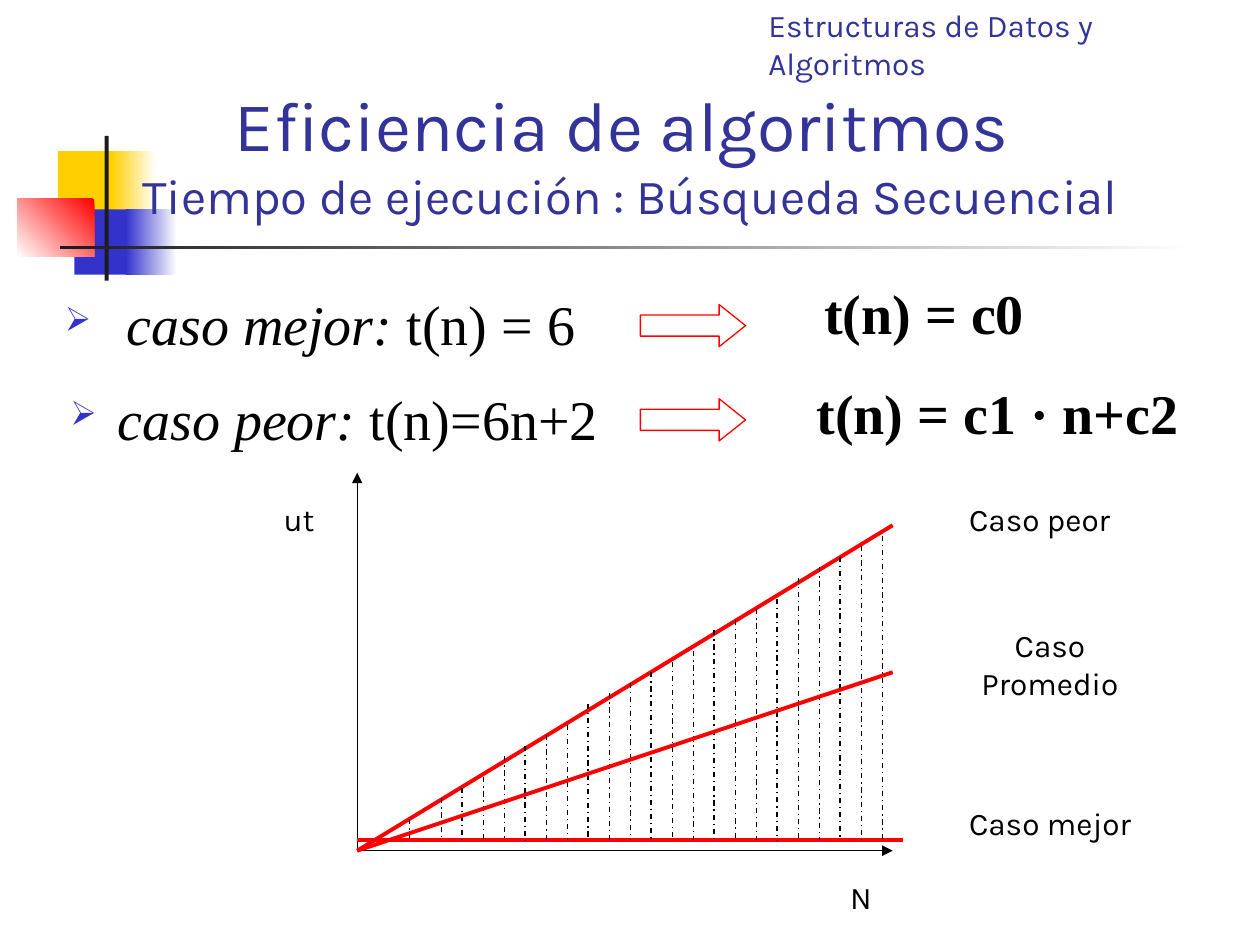
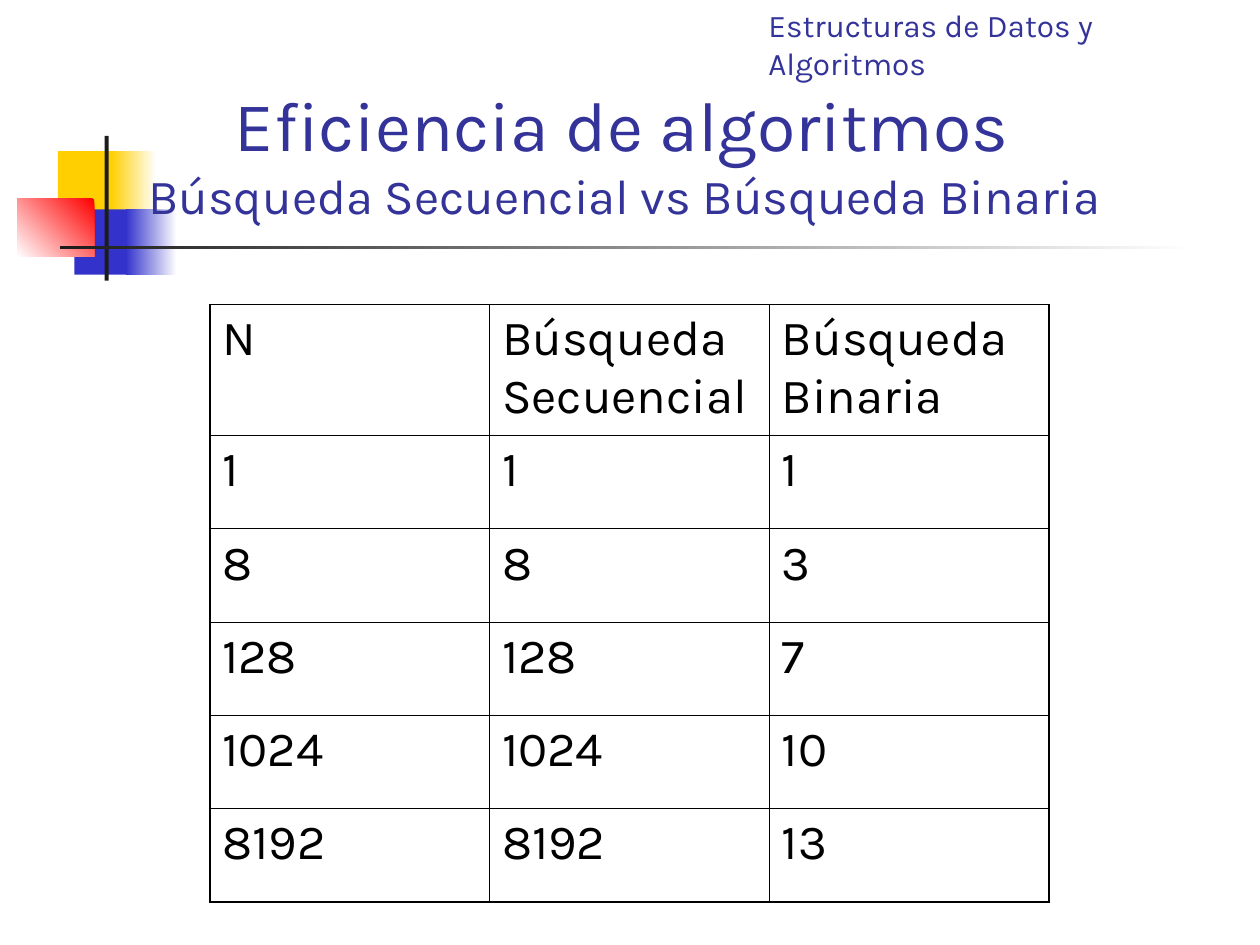
from dataclasses import dataclass

from lxml import etree
from pptx import Presentation
from pptx.dml.color import RGBColor
from pptx.enum.dml import MSO_LINE
from pptx.enum.shapes import MSO_CONNECTOR, MSO_SHAPE
from pptx.enum.text import MSO_ANCHOR, PP_ALIGN
from pptx.oxml.ns import qn
from pptx.util import Cm, Pt

RECTANGLE = MSO_SHAPE.RECTANGLE
RIGHT_ARROW = MSO_SHAPE.RIGHT_ARROW
STRAIGHT = MSO_CONNECTOR.STRAIGHT
DASH_DOT = MSO_LINE.DASH_DOT
LEFT, CENTER = PP_ALIGN.LEFT, PP_ALIGN.CENTER
TOP, BOTTOM = MSO_ANCHOR.TOP, MSO_ANCHOR.BOTTOM


@dataclass(frozen=True)
class Theme:
    sans: str = "Karla"
    serif: str = "Times New Roman"
    title: str = "333399"
    text: str = "000000"
    white: str = "FFFFFF"
    yellow: str = "FFCF01"
    blue: str = "3333CC"
    red: str = "FF0000"
    bar: str = "1C1C1C"
    title_size: float = 40
    subtitle_size: float = 28
    formula_size: float = 32
    table_size: float = 28
    label_size: float = 18
    thin: float = 0.75
    thick: float = 2.25
    outer_border: float = 1.08
    inner_border: float = 0.45


THEME = Theme()

# Chart grid: one step is a twelfth of an inch
STEP = 2.54 / 12
ORIGIN_X, ORIGIN_Y = 7.2, 17.15
HATCH_COLUMNS = [5, *range(8, 51, 2)]
HATCH_HEIGHTS = [2, 4, 5, 6, 8, 9, 10, 11, 13, 14, 15, 16,
                 17, 18, 20, 21, 22, 23, 25, 26, 27, 28, 29]

SEARCH_STEPS = [
    ("N", "Búsqueda Secuencial", "Búsqueda Binaria"),
    ("1", "1", "1"),
    ("8", "8", "3"),
    ("128", "128", "7"),
    ("1024", "1024", "10"),
    ("8192", "8192", "13"),
]


def rgb(color):
    return RGBColor.from_string(color)


def format_run(run, size, font=THEME.sans, color=THEME.text, bold=False, italic=False):
    run.font.size = Pt(size)
    run.font.name = font
    run.font.color.rgb = rgb(color)
    run.font.bold = bold
    run.font.italic = italic


def add_text(slide, box, text, size, font=THEME.sans, color=THEME.text,
             bold=False, align=CENTER, anchor=TOP):
    """Add a wrapping text box and return its paragraph."""
    frame = slide.shapes.add_textbox(*map(Cm, box)).text_frame
    frame.word_wrap = True
    frame.vertical_anchor = anchor
    paragraph = frame.paragraphs[0]
    paragraph.text = text
    paragraph.alignment = align
    for run in paragraph.runs:
        format_run(run, size, font, color, bold)
    return paragraph


def add_block(slide, box, color, fade_to=None, angle=180):
    """Add a rectangle in one colour, or fading from color to fade_to."""
    block = slide.shapes.add_shape(RECTANGLE, *map(Cm, box))
    block.shadow.inherit = False
    block.line.fill.background()
    if fade_to is None:
        block.fill.solid()
        block.fill.fore_color.rgb = rgb(color)
        return
    block.fill.gradient()
    block.fill.gradient_angle = angle
    for stop, stop_color in zip(block.fill.gradient_stops, (color, fade_to)):
        stop.color.rgb = rgb(stop_color)


def add_plot_line(slide, start, end, color, width, dash=None, arrow=False):
    """Join two (column, height) points of the chart grid."""
    ends = [Cm(length) for column, height in (start, end)
            for length in (ORIGIN_X + column * STEP, ORIGIN_Y - height * STEP)]
    connector = slide.shapes.add_connector(STRAIGHT, *ends)
    connector.line.color.rgb = rgb(color)
    connector.line.width = Pt(width)
    if dash is not None:
        connector.line.dash_style = dash
    properties = connector._element.spPr
    if arrow:
        etree.SubElement(properties.find(qn("a:ln")), qn("a:tailEnd"), type="triangle")
    etree.SubElement(properties, qn("a:effectLst"))


def add_case(slide, box, indent, name, formula):
    """Add a bulleted case: name in italics, then its formula."""
    paragraph = add_text(slide, box, name, THEME.formula_size, THEME.serif, align=LEFT)
    paragraph.runs[0].font.italic = True
    run = paragraph.add_run()
    run.text = formula
    format_run(run, THEME.formula_size, THEME.serif)
    properties = paragraph._p.get_or_add_pPr()
    properties.set("marL", str(Cm(indent)))
    properties.set("indent", str(-Cm(indent)))
    bullet_color = etree.SubElement(properties, qn("a:buClr"))
    etree.SubElement(bullet_color, qn("a:srgbClr"), val=THEME.blue)
    etree.SubElement(properties, qn("a:buSzPct"), val="60000")
    etree.SubElement(properties, qn("a:buChar"), char="➢")


def add_arrow(slide, top):
    arrow = slide.shapes.add_shape(RIGHT_ARROW, Cm(12.91), Cm(top), Cm(2.12), Cm(0.85))
    arrow.adjustments[1] = 0.625
    arrow.shadow.inherit = False
    arrow.fill.background()
    arrow.line.color.rgb = rgb(THEME.red)
    arrow.line.width = Pt(THEME.thin)


def set_borders(cell, widths):
    """Draw the left, right, top and bottom borders, in that order."""
    properties = cell._tc.get_or_add_tcPr()
    for side, width in zip("LRTB", widths):
        border = etree.SubElement(properties, qn(f"a:ln{side}"), w=str(Pt(width)))
        fill = etree.SubElement(border, qn("a:solidFill"))
        etree.SubElement(fill, qn("a:srgbClr"), val=THEME.text)


def add_grid_table(slide, left, top, column_width, row_heights, rows):
    column_count = len(rows[0])
    table = slide.shapes.add_table(
        len(rows), column_count, Cm(left), Cm(top),
        Cm(column_width * column_count), Cm(sum(row_heights))).table
    table.first_row = table.horz_banding = False
    for column in table.columns:
        column.width = Cm(column_width)
    for r, (values, height) in enumerate(zip(rows, row_heights)):
        table.rows[r].height = Cm(height)
        for c, value in enumerate(values):
            cell = table.cell(r, c)
            on_edge = (c == 0, c == column_count - 1, r == 0, r == len(rows) - 1)
            set_borders(cell, [THEME.outer_border if edge else THEME.inner_border
                               for edge in on_edge])
            cell.fill.background()
            cell.text_frame.text = value
            format_run(cell.text_frame.paragraphs[0].runs[0], THEME.table_size)


def add_decoration(slide):
    add_block(slide, (1.17, 3.05, 1.22, 1.32), THEME.yellow)
    add_block(slide, (2.24, 3.05, 0.91, 1.32), THEME.white, THEME.yellow)
    add_block(slide, (1.5, 4.22, 1.17, 1.32), THEME.blue)
    add_block(slide, (2.54, 4.22, 1.02, 1.32), THEME.white, THEME.blue)
    add_block(slide, (0.35, 4.01, 1.55, 1.17), THEME.red, THEME.white, angle=225)
    add_block(slide, (2.11, 2.74, 0.08, 2.92), THEME.bar)
    add_block(slide, (1.22, 4.95, 22.86, 0.08), THEME.white, THEME.bar)


def add_frame(presentation, subtitle):
    """Start a slide with the shared decoration, title and course name."""
    slide = presentation.slides.add_slide(presentation.slide_layouts[6])
    add_decoration(slide)
    title = add_text(slide, (0, 2.75, 25.4, 1.9),
                     "Eficiencia de algoritmos \v" + subtitle,
                     THEME.title_size, color=THEME.title, anchor=BOTTOM)
    title.runs[1].font.size = Pt(THEME.subtitle_size)
    add_text(slide, (15.24, 0, 10.16, 1.78), "Estructuras de Datos y Algoritmos",
             THEME.label_size, color=THEME.title, align=LEFT)
    return slide


def add_growth_plot(slide):
    # Axes
    for axis_end in ((0, 36), (51, 0)):
        add_plot_line(slide, (0, 0), axis_end, THEME.text, THEME.thin, arrow=True)
    # Worst and best case
    add_plot_line(slide, (0, 0), (51, 31), THEME.red, THEME.thick)
    add_plot_line(slide, (0, 1), (52, 1), THEME.red, THEME.thick)
    # Hatching between both cases
    for column, height in zip(HATCH_COLUMNS, HATCH_HEIGHTS):
        add_plot_line(slide, (column, 1 + height), (column, 1),
                      THEME.text, THEME.thin, dash=DASH_DOT)
    # Average case
    add_plot_line(slide, (0, 0), (51, 17), THEME.red, THEME.thick)
    # Labels
    for label, box in (
        ("ut", (5.29, 9.95, 1.48, 1.02)),
        ("N", (16.72, 17.57, 1.27, 1.02)),
        ("Caso peor", (18.42, 9.95, 5.08, 1.02)),
        ("Caso Promedio", (19.47, 12.49, 3.39, 2.54)),
        ("Caso mejor", (18.42, 16.09, 5.5, 1.02)),
    ):
        add_text(slide, box, label, THEME.label_size)


def build_sequential_slide(presentation):
    slide = add_frame(presentation, "Tiempo de ejecución : Búsqueda Secuencial")
    # Cases and their general form
    add_case(slide, (1.06, 5.72, 13.65, 1.9), 1.24, "caso mejor: ", "t(n) = 6")
    add_case(slide, (1.17, 7.62, 13.65, 2), 0.95, "caso peor: ", "t(n)=6n+2")
    for formula, box in (("t(n) = c0", (15.03, 5.5, 7.2, 1.63)),
                         ("t(n) = c1 · n+c2", (16.09, 7.5, 8.05, 1.63))):
        add_text(slide, box, formula, THEME.formula_size, THEME.serif, bold=True)
    for top in (6.14, 8.04):
        add_arrow(slide, top)
    add_growth_plot(slide)


def build_comparison_slide(presentation):
    slide = add_frame(presentation, "Búsqueda Secuencial vs Búsqueda Binaria ")
    row_heights = [2.64] + [1.88] * (len(SEARCH_STEPS) - 1)
    add_grid_table(slide, 4.23, 6.14, 5.64, row_heights, SEARCH_STEPS)


def main():
    presentation = Presentation()
    presentation.slide_width = Cm(25.4)
    presentation.slide_height = Cm(19.05)
    build_sequential_slide(presentation)
    build_comparison_slide(presentation)
    presentation.save("out.pptx")


if __name__ == "__main__":
    main()
